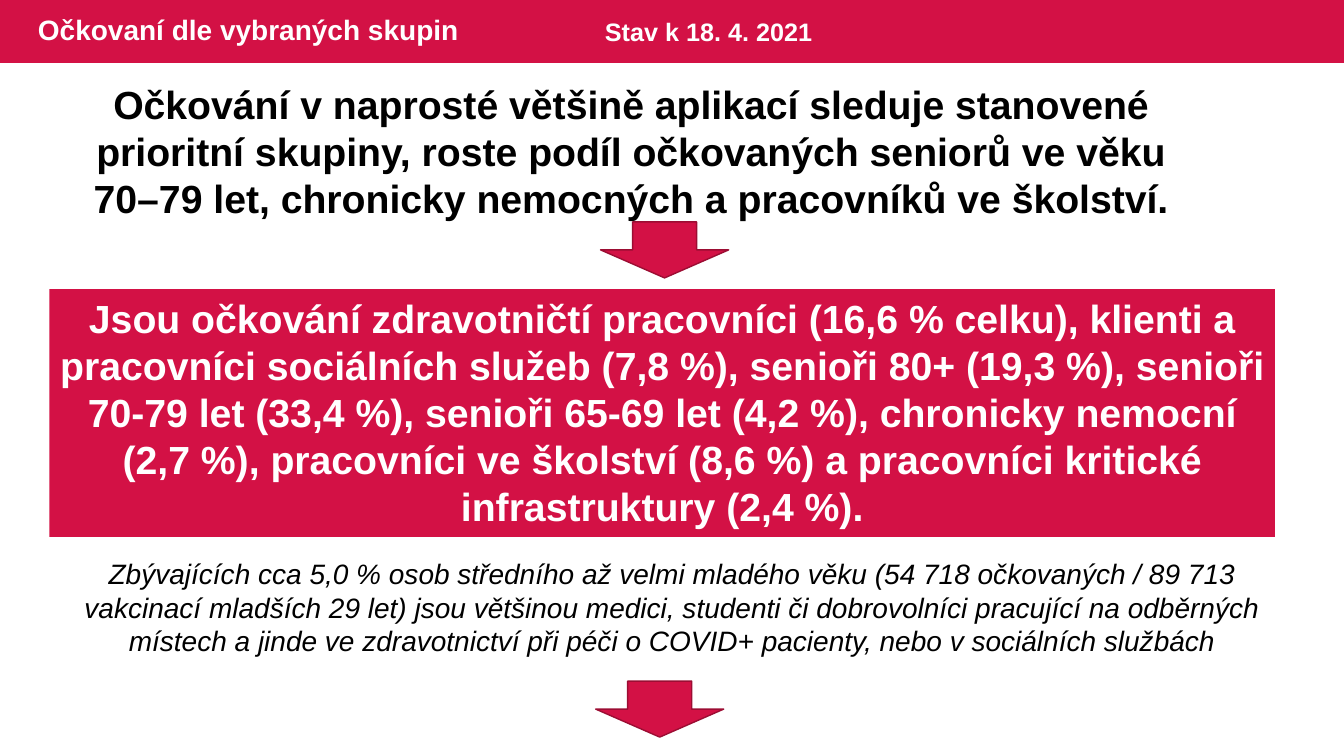
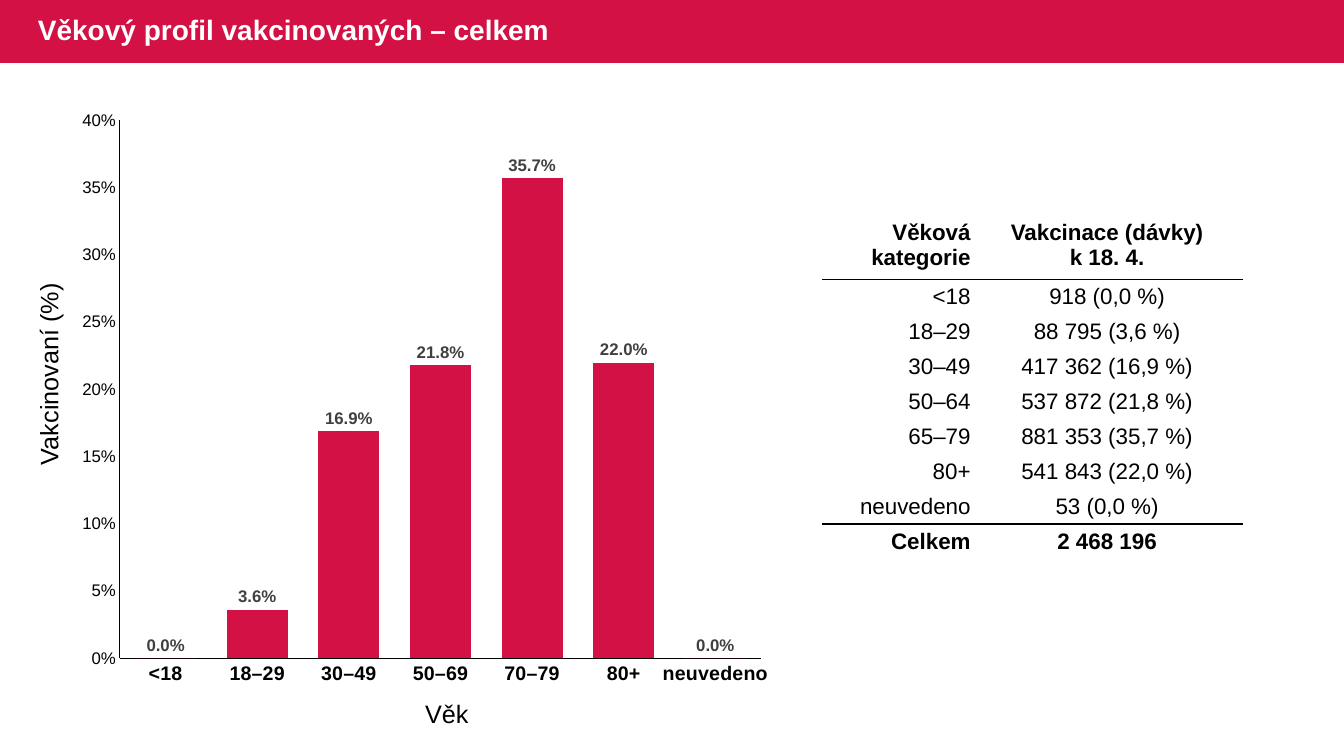
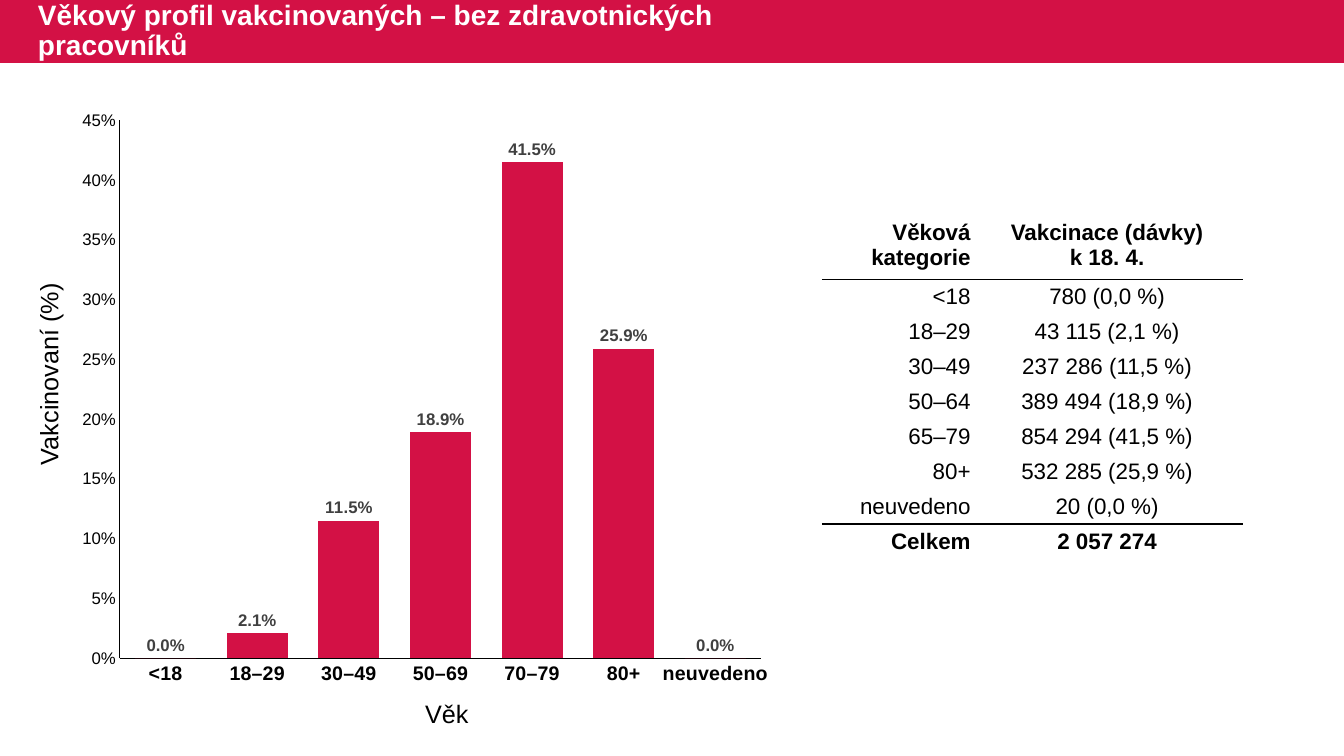
from lxml import etree
from pptx import Presentation
from pptx import util as u
from pptx.chart import data
from pptx.dml import color
from pptx.enum import chart as ch, shapes, text
from pptx.oxml import ns

RED, DARK_RED, BLACK, WHITE, GREY = "D31145", "9C0D33", "000000", "FFFFFF", "404040"
FONT = "Arial"
SLIDE_W, SLIDE_H, BAND_H = 960, 540, 45
ARROW_W, ARROW_H = 91.5, 40
LEFT, CENTER, RIGHT = text.PP_ALIGN.LEFT, text.PP_ALIGN.CENTER, text.PP_ALIGN.RIGHT

GROUPS_TITLE = "Očkovaní dle vybraných skupin"
STATUS_DATE = "Stav k 18. 4. 2021"
PRIORITIES = [
    "Očkování v naprosté většině aplikací sleduje stanovené prioritní skupiny, "
    "roste podíl očkovaných seniorů ve věku",
    "70–79 let, chronicky nemocných a pracovníků ve školství.",
]
VACCINATED = [
    "Jsou očkování zdravotničtí pracovníci (16,6 % celku), klienti a pracovníci "
    "sociálních služeb (7,8 %), senioři 80+ (19,3 %), senioři 70-79 let (33,4 %), "
    "senioři 65-69 let (4,2 %), chronicky nemocní (2,7 %), pracovníci ve školství "
    "(8,6 %) a pracovníci kritické infrastruktury (2,4 %).",
]
REMAINDER = [
    "Zbývajících cca 5,0 % osob středního až velmi mladého věku (54 718 očkovaných / "
    "89 713 vakcinací mladších 29 let) jsou většinou medici, studenti či dobrovolníci "
    "pracující na odběrných místech a jinde ve zdravotnictví při péči o COVID+ "
    "pacienty, nebo v sociálních službách",
]

CHART_AGES = ["<18", "18–29", "30–49", "50–69", "70–79", "80+", "neuvedeno"]
TABLE_AGES = ["<18", "18–29", "30–49", "50–64", "65–79", "80+", "neuvedeno", "Celkem"]
TABLE_HEAD = ("Věková kategorie", "Vakcinace (dávky)\nk 18. 4.")
PROFILES = [
    {
        "title": "Věkový profil vakcinovaných – celkem",
        "title_w": 585,
        "shares": [0, 0.036, 0.169, 0.218, 0.357, 0.22, 0],
        "axis_max": 0.4,
        "doses": ["918 (0,0 %)", "88 795 (3,6 %)", "417 362 (16,9 %)",
                  "537 872 (21,8 %)", "881 353 (35,7 %)", "541 843 (22,0 %)",
                  "53 (0,0 %)", "2 468 196"],
    },
    {
        "title": "Věkový profil vakcinovaných – bez zdravotnických pracovníků",
        "title_w": 608,
        "shares": [0, 0.021, 0.115, 0.189, 0.415, 0.259, 0],
        "axis_max": 0.45,
        "doses": ["780 (0,0 %)", "43 115 (2,1 %)", "237 286 (11,5 %)",
                  "389 494 (18,9 %)", "854 294 (41,5 %)", "532 285 (25,9 %)",
                  "20 (0,0 %)", "2 057 274"],
    },
]


def rgb(hex_colour):
    return color.RGBColor.from_string(hex_colour)


def points(*lengths):
    return [u.Pt(length) for length in lengths]


def style_font(font, size, colour=BLACK, **styles):
    settings = {"name": FONT, "size": u.Pt(size), "bold": False, **styles}
    for name, value in settings.items():
        setattr(font, name, value)
    font.color.rgb = rgb(colour)


def write(frame, paragraphs, size, colour=BLACK, align=LEFT, spacing=None, **styles):
    for index, words in enumerate(paragraphs):
        paragraph = frame.paragraphs[0] if index == 0 else frame.add_paragraph()
        paragraph.alignment = align
        paragraph.line_spacing = spacing
        run = paragraph.add_run()
        run.text = words
        style_font(run.font, size, colour, **styles)


def add_text(slide, box, paragraphs, size, wrap=True, anchor=text.MSO_ANCHOR.TOP,
             rotation=0, **styles):
    label = slide.shapes.add_textbox(*points(*box))
    label.rotation = rotation
    label.text_frame.word_wrap = wrap
    label.text_frame.vertical_anchor = anchor
    write(label.text_frame, paragraphs, size, **styles)


def add_block(slide, kind, box, outline=None):
    block = slide.shapes.add_shape(kind, *points(*box))
    block.shadow.inherit = False
    block.fill.solid()
    block.fill.fore_color.rgb = rgb(RED)
    if outline:
        block.line.color.rgb = rgb(outline)
        block.line.width = u.Pt(1)
    else:
        block.line.fill.background()
    return block


def add_titled_slide(deck, title, title_w=585):
    slide = deck.slides.add_slide(deck.slide_layouts[6])
    add_block(slide, shapes.MSO_SHAPE.RECTANGLE, (0, 0, SLIDE_W, BAND_H))
    add_text(slide, (20, 0, title_w, BAND_H), [title], 20, colour=WHITE, bold=True,
             spacing=0.9, anchor=text.MSO_ANCHOR.MIDDLE)
    return slide


def add_groups_slide(deck):
    slide = add_titled_slide(deck, GROUPS_TITLE)
    add_text(slide, (425, 8, 213, 29), [STATUS_DATE], 18, colour=WHITE, bold=True)
    add_text(slide, (50.5, 53.5, 800.5, 109), PRIORITIES, 28, align=CENTER, bold=True)
    summary = add_block(slide, shapes.MSO_SHAPE.RECTANGLE, (35.25, 206.5, 875.5, 177))
    summary.text_frame.word_wrap = True
    summary.text_frame.vertical_anchor = text.MSO_ANCHOR.TOP
    write(summary.text_frame, VACCINATED, 28, WHITE, CENTER, bold=True)
    add_text(slide, (35.25, 394, 890, 80), REMAINDER, 20, align=CENTER, italic=True)
    for left, top in ((429, 158.5), (425.5, 486.5)):
        add_block(slide, shapes.MSO_SHAPE.DOWN_ARROW, (left, top, ARROW_W, ARROW_H),
                  DARK_RED)


def fix_plot_area(chart, **fractions):
    """Place the inner plot area by fractions of the chart frame."""
    plot_area = chart._chartSpace.chart.plotArea
    for old in plot_area.findall(ns.qn("c:layout")):
        plot_area.remove(old)
    layout = etree.Element(ns.qn("c:layout"))
    manual = etree.SubElement(layout, ns.qn("c:manualLayout"))
    settings = {"layoutTarget": "inner", "xMode": "edge", "yMode": "edge", **fractions}
    for tag, value in settings.items():
        etree.SubElement(manual, ns.qn("c:" + tag)).set("val", str(value))
    plot_area.insert(0, layout)


def add_age_chart(slide, shares, axis_max):
    chart_data = data.CategoryChartData(number_format="0.0%")
    chart_data.categories = CHART_AGES
    chart_data.add_series("Vakcinovaní (%)", shares)
    chart = slide.shapes.add_chart(ch.XL_CHART_TYPE.COLUMN_CLUSTERED,
                                   *points(50, 69, 509, 427), chart_data).chart
    chart.has_legend = chart.has_title = False
    style_font(chart.font, 10)
    fix_plot_area(chart, x=0.07, y=0.04, w=0.9, h=0.9)

    ages, percent = chart.category_axis, chart.value_axis
    for axis, size, bold in ((ages, 14, True), (percent, 12, False)):
        axis.has_major_gridlines = False
        axis.major_tick_mark = axis.minor_tick_mark = ch.XL_TICK_MARK.NONE
        style_font(axis.tick_labels.font, size, bold=bold)
        axis.format.line.color.rgb = rgb(BLACK)
        axis.format.line.width = u.Pt(0.75)
    # Keeps long category names on one line
    ages._element.find(".//" + ns.qn("a:bodyPr")).set("rot", "-60000000")
    percent.minimum_scale, percent.maximum_scale = 0, axis_max
    percent.major_unit = 0.05
    percent.tick_labels.number_format = "0%"
    percent.tick_labels.number_format_is_linked = False

    plot = chart.plots[0]
    plot.gap_width, plot.overlap, plot.vary_by_categories = 50, -27, False
    columns = plot.series[0]
    columns.invert_if_negative = False
    columns.format.fill.solid()
    columns.format.fill.fore_color.rgb = rgb(RED)
    labels = columns.data_labels
    settings = {"show_value": True, "number_format": "0.0%",
                "number_format_is_linked": False,
                "position": ch.XL_LABEL_POSITION.OUTSIDE_END}
    for name, value in settings.items():
        setattr(labels, name, value)
    style_font(labels.font, 12, GREY, bold=True)


def add_borders(cell, top, bottom):
    properties = cell._tc.get_or_add_tcPr()
    for side, colour in (("L", WHITE), ("R", WHITE), ("T", top), ("B", bottom)):
        line = etree.SubElement(properties, ns.qn("a:ln" + side), w=str(u.Pt(1)))
        fill = etree.SubElement(line, ns.qn("a:solidFill"))
        etree.SubElement(fill, ns.qn("a:srgbClr"), val=colour)


def add_dose_table(slide, doses):
    rows = [TABLE_HEAD, *zip(TABLE_AGES, doses)]
    last = len(rows) - 1
    heights = [49] + [25] * last
    widths = (106.5, 193.5)
    box = (587.5, 150.5, sum(widths), sum(heights))
    table = slide.shapes.add_table(len(rows), len(widths), *points(*box)).table
    table.first_row = table.horz_banding = False
    for column, width in zip(table.columns, widths):
        column.width = u.Pt(width)
    ruled_below = (0, last - 1)
    for r, (row, height) in enumerate(zip(rows, heights)):
        table.rows[r].height = u.Pt(height)
        top = BLACK if r - 1 in ruled_below else WHITE
        bottom = BLACK if r in ruled_below else WHITE
        for c, (words, align) in enumerate(zip(row, (RIGHT, CENTER))):
            cell = table.cell(r, c)
            add_borders(cell, top, bottom)
            cell.fill.background()
            cell.vertical_anchor = text.MSO_ANCHOR.MIDDLE
            cell.margin_left = cell.margin_right = cell.margin_top = u.Pt(0.75)
            cell.margin_bottom = 0
            write(cell.text_frame, words.split("\n"), 16, align=align,
                  bold=r in (0, last))


def add_profile_slide(deck, profile):
    slide = add_titled_slide(deck, profile["title"], profile["title_w"])
    add_age_chart(slide, profile["shares"], profile["axis_max"])
    add_text(slide, (296.5, 495.5, 46, 29), ["Věk"], 18, wrap=False)
    add_text(slide, (-38, 252, 145.5, 29), ["Vakcinovaní (%)"], 18, wrap=False,
             rotation=270)
    add_dose_table(slide, profile["doses"])


def main():
    deck = Presentation()
    deck.slide_width, deck.slide_height = points(SLIDE_W, SLIDE_H)
    add_groups_slide(deck)
    for profile in PROFILES:
        add_profile_slide(deck, profile)
    deck.save("out.pptx")


if __name__ == "__main__":
    main()
